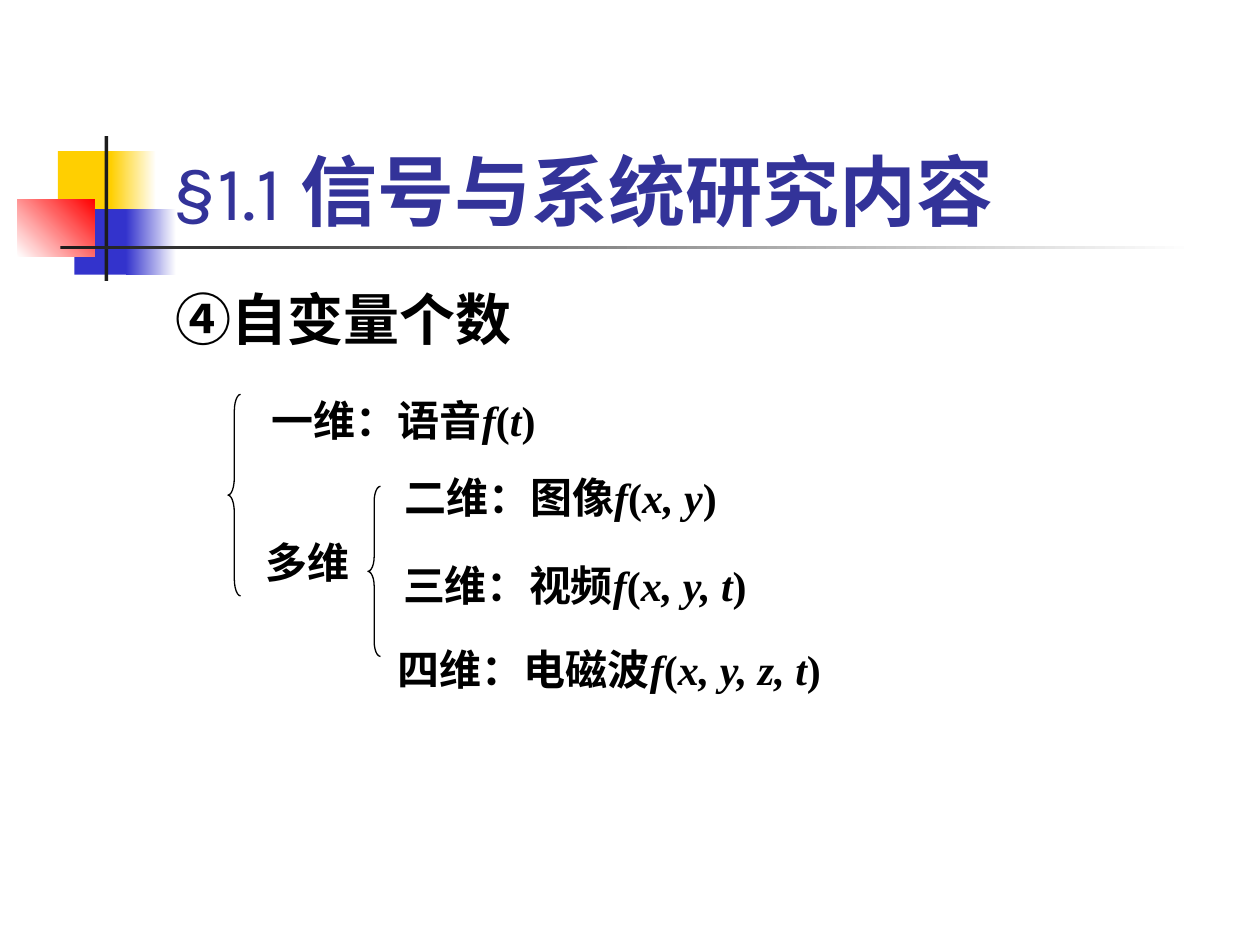
from typing import NamedTuple, Optional

from lxml.etree import SubElement
from pptx import Presentation
from pptx.dml.color import RGBColor
from pptx.enum.shapes import MSO_SHAPE as Preset
from pptx.enum.text import MSO_ANCHOR as Anchor, MSO_AUTO_SIZE as AutoSize, PP_ALIGN as Align
from pptx.oxml.ns import qn
from pptx.util import Inches, Pt

BLACK = RGBColor(0x00, 0x00, 0x00)
WHITE = RGBColor(0xFF, 0xFF, 0xFF)
YELLOW = RGBColor(0xFF, 0xCF, 0x01)
BLUE = RGBColor(0x33, 0x33, 0xCC)
RED = RGBColor(0xFF, 0x00, 0x00)
CHARCOAL = RGBColor(0x1C, 0x1C, 0x1C)
TITLE_BLUE = RGBColor(0x33, 0x33, 0x99)

LATIN_FONT = "Karla"
CHINESE_FONT = "Noto Sans CJK SC"
MATH_FONT = "Times New Roman"


class Block(NamedTuple):
    left: float
    top: float
    width: float
    height: float
    color: RGBColor
    fade_to: Optional[RGBColor] = None
    angle: float = 0


class Brace(NamedTuple):
    left: float
    top: float
    height: float
    curve: float


class Dimension(NamedTuple):
    left: float
    top: float
    width: float
    label: str
    variables: str = ""


BLOCKS = [
    Block(0.46, 1.2, 0.48, 0.52, YELLOW),
    Block(0.88, 1.2, 0.36, 0.52, YELLOW, WHITE),
    Block(0.59, 1.66, 0.46, 0.52, BLUE),
    Block(1, 1.66, 0.4, 0.52, BLUE, WHITE),
    Block(0.14, 1.58, 0.61, 0.46, WHITE, RED, 45),
    Block(0.83, 1.08, 0.03, 1.15, CHARCOAL),
    Block(0.48, 1.95, 9, 0.03, CHARCOAL, WHITE),
]
BRACES = [Brace(1.81, 3.13, 1.6, 1.36), Brace(2.92, 3.86, 1.35, 1.18)]
DIMENSIONS = [
    Dimension(2.06, 3.08, 2.51, "一维：语音", "t"),
    Dimension(2.01, 4.21, 0.93, "多维"),
    Dimension(3.11, 3.69, 3.99, "二维：图像", "x, y"),
    Dimension(3.1, 4.39, 3.99, "三维：视频", "x, y, t"),
    Dimension(3.06, 5.06, 3.99, "四维：电磁波", "x, y, z, t"),
]


def place(shape, left: float, top: float, width: float, height: float) -> None:
    shape.left, shape.top = Inches(left), Inches(top)
    shape.width, shape.height = Inches(width), Inches(height)


def add_run(paragraph, text: str, size: float, color: RGBColor, font: str = LATIN_FONT,
            bold: bool = True, italic: bool = False) -> None:
    run = paragraph.add_run()
    run.text = text
    run.font.name, run.font.size = font, Pt(size)
    run.font.bold, run.font.italic = bold, italic
    run.font.color.rgb = color
    SubElement(run.font._element, qn("a:ea")).set("typeface", CHINESE_FONT)


def draw_block(slide, block: Block) -> None:
    shape = slide.shapes.add_shape(Preset.RECTANGLE, 0, 0, 0, 0)
    place(shape, block.left, block.top, block.width, block.height)
    shape.shadow.inherit = False
    shape.line.fill.background()
    if block.fade_to is None:
        shape.fill.solid()
        shape.fill.fore_color.rgb = block.color
        return
    shape.fill.gradient()
    shape.fill.gradient_angle = block.angle
    for stop, color in zip(shape.fill.gradient_stops, (block.color, block.fade_to)):
        stop.color.rgb = color


def draw_brace(slide, brace: Brace) -> None:
    shape = slide.shapes.add_shape(Preset.LEFT_BRACE, 0, 0, 0, 0)
    place(shape, brace.left, brace.top, 0.1, brace.height)
    shape.adjustments[0] = brace.curve
    shape.shadow.inherit = False
    shape.fill.background()
    shape.line.color.rgb = BLACK
    shape.line.width = Pt(0.75)


def draw_dimension(slide, dimension: Dimension) -> None:
    box = slide.shapes.add_textbox(0, 0, 0, 0)
    place(box, dimension.left, dimension.top, dimension.width, 0.5)
    box.text_frame.word_wrap = True
    box.text_frame.auto_size = AutoSize.SHAPE_TO_FIT_TEXT
    paragraph = box.text_frame.paragraphs[0]
    paragraph.space_before = Pt(15)
    add_run(paragraph, dimension.label, 24, BLACK)
    if dimension.variables:
        for text, italic in (("f", True), ("(", False), (dimension.variables, True), (")", False)):
            add_run(paragraph, text, 24, BLACK, MATH_FONT, italic=italic)


def fill_title(title) -> None:
    place(title, 1.26, 0.67, 8.52, 1.25)
    title.text_frame.auto_size = AutoSize.NONE
    title.text_frame.vertical_anchor = Anchor.BOTTOM
    paragraph = title.text_frame.paragraphs[0]
    paragraph.alignment = Align.LEFT
    add_run(paragraph, "§1.1 ", 44, TITLE_BLUE, bold=False)
    add_run(paragraph, "信号与系统研究内容", 44, TITLE_BLUE, CHINESE_FONT)


def fill_body(body) -> None:
    place(body, 1.29, 2.21, 8.5, 4.5)
    body.text_frame.auto_size = AutoSize.NONE
    paragraph = body.text_frame.paragraphs[0]
    paragraph.space_before = Pt(8)
    properties = paragraph._p.get_or_add_pPr()
    properties.set("marL", str(Inches(0.38)))
    properties.set("indent", str(Inches(-0.38)))
    SubElement(properties, qn("a:buNone"))
    add_run(paragraph, "④自变量个数", 32, BLACK)


def main() -> None:
    presentation = Presentation()
    presentation.slide_width, presentation.slide_height = Inches(10), Inches(7.5)
    slide = presentation.slides.add_slide(presentation.slide_layouts[1])

    # Decorative blocks and rules beside the title
    for block in BLOCKS:
        draw_block(slide, block)

    # Title and heading, lifted above the decoration
    title, body = slide.shapes.title, slide.placeholders[1]
    fill_title(title)
    fill_body(body)
    for placeholder in (title, body):
        slide.shapes._spTree.append(placeholder._element)

    # Tree of signal dimensions
    for brace in BRACES:
        draw_brace(slide, brace)
    for dimension in DIMENSIONS:
        draw_dimension(slide, dimension)

    presentation.save("out.pptx")


if __name__ == "__main__":
    main()
